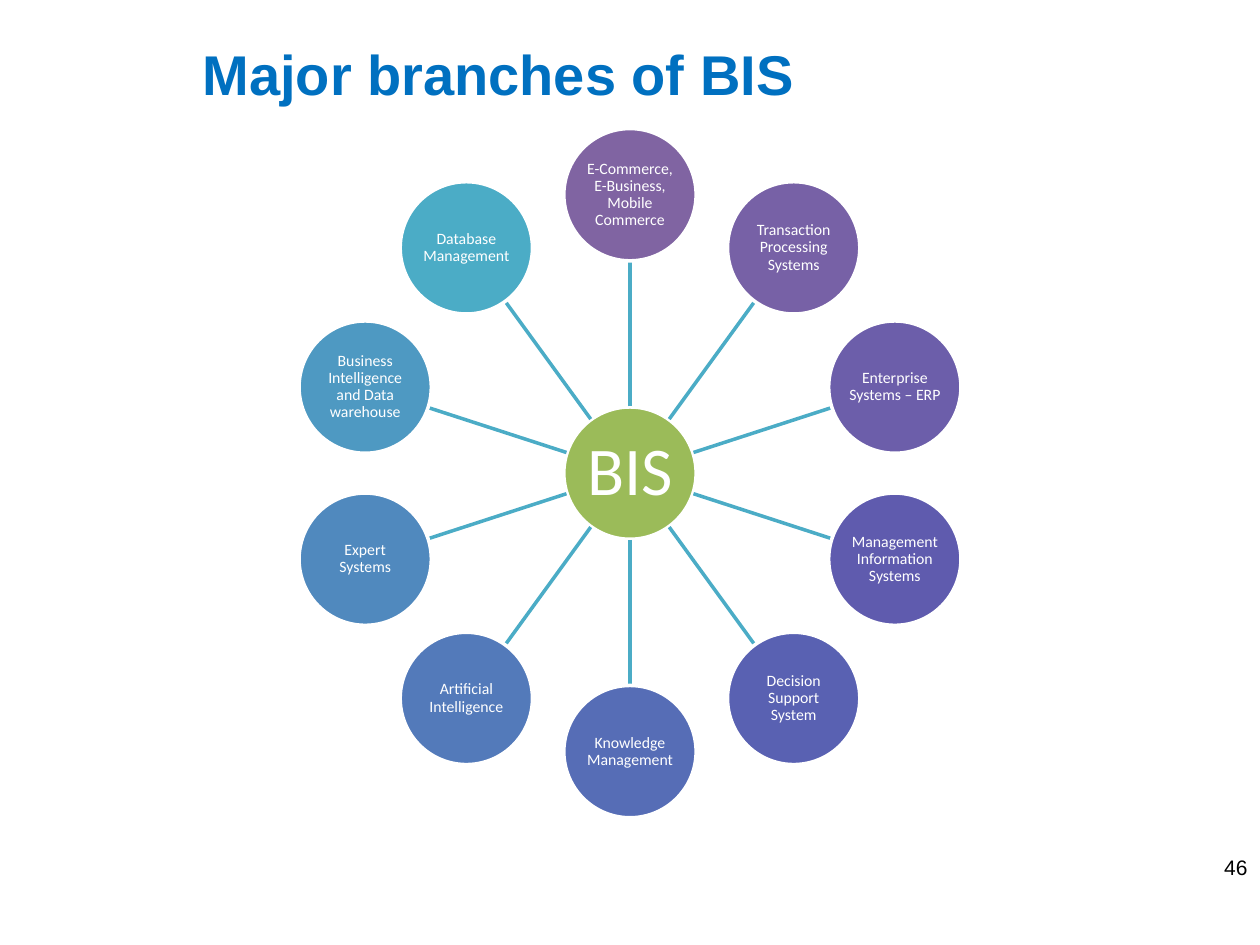
from dataclasses import dataclass
from math import cos, radians, sin

from pptx import Presentation
from pptx.dml.color import RGBColor
from pptx.enum.shapes import MSO_CONNECTOR, MSO_SHAPE
from pptx.enum.text import MSO_ANCHOR, PP_ALIGN
from pptx.oxml.ns import qn
from pptx.util import Inches, Pt

COLORS = {
    "title": "0070C0",
    "hub": "9BBB59",
    "spoke": "4BACC6",
    "white": "FFFFFF",
    "black": "000000",
}
CENTER_X, CENTER_Y = 5, 3.755
DIAMETER = 1.05
RING_RADIUS = 2.21
SPOKE_START, SPOKE_END = 0.53, 1.69


@dataclass
class Branch:
    label: str
    color: str


# Clockwise from the top
BRANCHES = [
    Branch("E-Commerce, E-Business, Mobile Commerce", "8064A2"),
    Branch("Transaction Processing Systems", "7761A6"),
    Branch("Enterprise Systems – ERP", "6C5EAA"),
    Branch("Management Information Systems", "5F5BAE"),
    Branch("Decision Support System", "5961B2"),
    Branch("Knowledge Management", "566DB6"),
    Branch("Artificial Intelligence", "537ABA"),
    Branch("Expert Systems", "5089BE"),
    Branch("Business Intelligence and Data warehouse", "4E99C2"),
    Branch("Database Management", "4BACC6"),
]


def write(tf, text: str, size: float, font: str, color: str,
          align: PP_ALIGN, bold: bool = False) -> None:
    tf.word_wrap = True
    tf.vertical_anchor = MSO_ANCHOR.MIDDLE
    p = tf.paragraphs[0]
    p.alignment = align
    r = p.add_run()
    r.text = text
    r.font.size = Pt(size)
    r.font.name = font
    r.font.bold = bold
    r.font.color.rgb = RGBColor.from_string(color)


def polar(angle: float, radius: float) -> tuple[float, float]:
    """Point at a clockwise angle in degrees from the top of the wheel."""
    a = radians(angle)
    return CENTER_X + radius * sin(a), CENTER_Y - radius * cos(a)


def add_circle(s, x: float, y: float, text: str, color: str,
               size: float, inset: float) -> None:
    sp = s.shapes.add_shape(
        MSO_SHAPE.OVAL, Inches(x - DIAMETER / 2), Inches(y - DIAMETER / 2),
        Inches(DIAMETER), Inches(DIAMETER))
    sp.shadow.inherit = False
    sp.fill.solid()
    sp.fill.fore_color.rgb = RGBColor.from_string(color)
    sp.line.color.rgb = RGBColor.from_string(COLORS["white"])
    sp.line.width = Pt(2)
    tf = sp.text_frame
    tf.margin_left = tf.margin_right = Inches(inset)
    tf.margin_top = tf.margin_bottom = Inches(inset)
    write(tf, text, size, "Calibri", COLORS["white"], PP_ALIGN.CENTER)
    tf.paragraphs[0].line_spacing = 0.9


def add_spoke(s, angle: float) -> None:
    ends = polar(angle, SPOKE_START) + polar(angle, SPOKE_END)
    line = s.shapes.add_connector(MSO_CONNECTOR.STRAIGHT, *map(Inches, ends))
    line.line.color.rgb = RGBColor.from_string(COLORS["spoke"])
    line.line.width = Pt(2)
    sp_pr = line._element.spPr
    sp_pr.append(sp_pr.makeelement(qn("a:effectLst"), {}))


def main() -> None:
    prs = Presentation()
    prs.slide_width, prs.slide_height = Inches(10), Inches(7.5)
    s = prs.slides.add_slide(prs.slide_layouts[6])

    # Title
    title = s.shapes.add_textbox(
        Inches(1.51), Inches(0.05), Inches(7.99), Inches(1.06))
    write(title.text_frame, "Major branches of BIS", 32, "Arial",
          COLORS["title"], PP_ALIGN.LEFT, bold=True)

    # Hub, spokes and branches
    add_circle(s, CENTER_X, CENTER_Y, "BIS", COLORS["hub"], 39, 0.03)
    for i, branch in enumerate(BRANCHES):
        angle = i * 360 / len(BRANCHES)
        add_spoke(s, angle)
        add_circle(s, *polar(angle, RING_RADIUS), branch.label, branch.color, 9, 0.01)

    # Slide number
    number = s.shapes.add_textbox(
        Inches(7.67), Inches(6.68), Inches(2.33), Inches(0.4))
    write(number.text_frame, "46", 12, "Arial", COLORS["black"], PP_ALIGN.RIGHT)

    prs.save("out.pptx")


if __name__ == "__main__":
    main()
